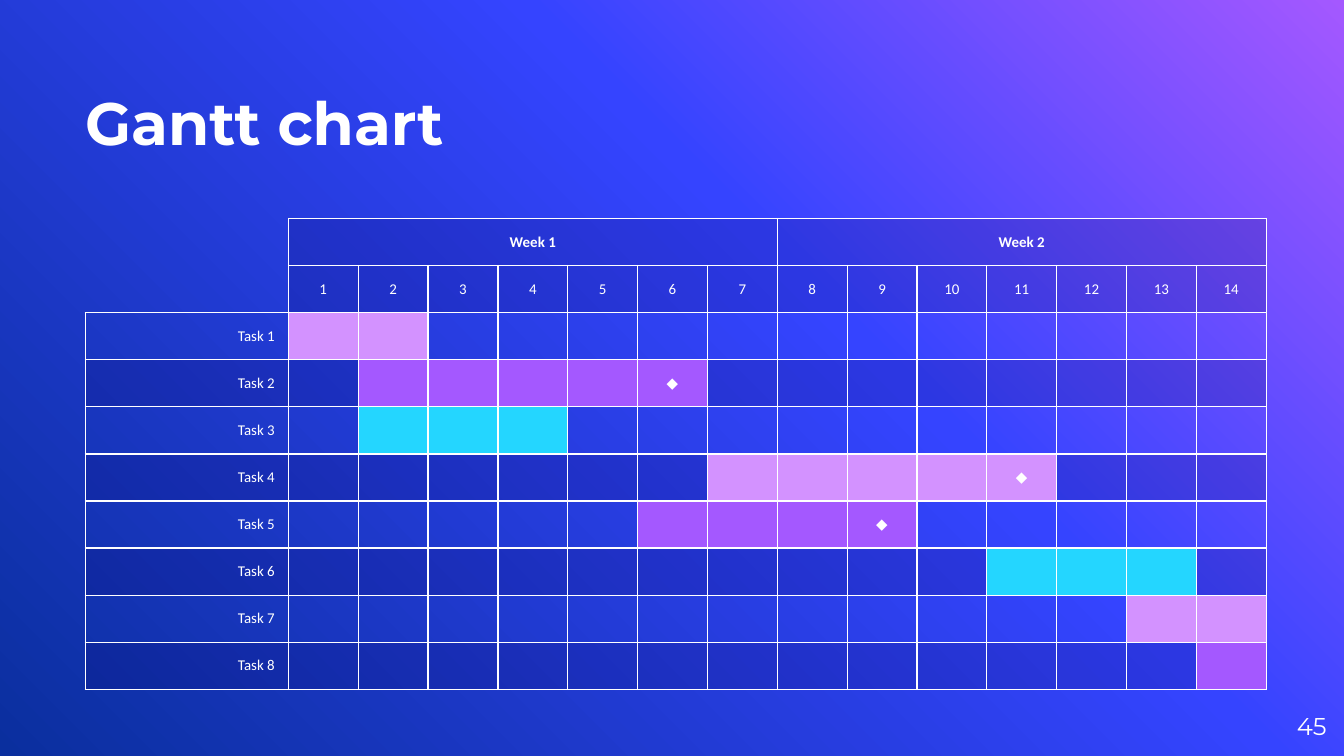
"""Build a slide with a two-week Gantt chart."""
from copy import deepcopy

from pptx import Presentation
from pptx.dml.color import RGBColor
from pptx.enum.text import MSO_ANCHOR, MSO_AUTO_SIZE, PP_ALIGN
from pptx.oxml.ns import qn
from pptx.util import Cm, Pt
from lxml.etree import SubElement

WHITE, NAVY = "FFFFFF", "050060"
LILAC, PURPLE, CYAN = "D392FF", "A458FF", "24D6FF"
DAYS, WEEK = 14, 7
TASKS = [
    ("Task 1", 1, 2, LILAC, False),
    ("Task 2", 2, 6, PURPLE, True),
    ("Task 3", 2, 4, CYAN, False),
    ("Task 4", 7, 11, LILAC, True),
    ("Task 5", 6, 9, PURPLE, True),
    ("Task 6", 11, 13, CYAN, False),
    ("Task 7", 13, 14, LILAC, False),
    ("Task 8", 14, 14, PURPLE, False),
]


def tint(code):
    return RGBColor.from_string(code)


def write(frame, text, size=8, font="Calibri", bold=False, align=PP_ALIGN.CENTER):
    para = frame.paragraphs[0]
    para.alignment = align
    if text:
        run = para.add_run()
        run.text = text
        run.font.size, run.font.name, run.font.bold = Pt(size), font, bold
        run.font.color.rgb = tint(WHITE)
    else:
        para._p.get_or_add_endParaRPr().set("sz", str(size * 100))


class Deck:
    font = "Montserrat"

    def __init__(self, show):
        self.slide = show.slides.add_slide(show.slide_layouts[5])

    def ground(self, *stops):
        fill = self.slide.background.fill
        fill.gradient()
        fill.gradient_angle = 225
        group = self.slide._element.find(".//" + qn("a:gsLst"))
        while len(group) < len(stops):
            group.append(deepcopy(group[0]))
        for stop, (place, code) in zip(fill.gradient_stops, stops):
            stop.position = place
            stop.color.rgb = tint(code)

    def place(self, shape, box, text, anchor, **style):
        shape.left, shape.top, shape.width, shape.height = map(Cm, box)
        frame = shape.text_frame
        frame.word_wrap = True
        frame.auto_size = MSO_AUTO_SIZE.NONE
        frame.vertical_anchor = anchor
        frame.margin_left = frame.margin_right = 0
        frame.margin_top = frame.margin_bottom = 0
        write(frame, text, font=self.font, **style)

    def title(self, box, text):
        self.place(self.slide.shapes.title, box, text, MSO_ANCHOR.BOTTOM,
                   size=32, bold=True, align=PP_ALIGN.LEFT)

    def number(self, box, text):
        shape = self.slide.shapes.add_textbox(*map(Cm, box))
        self.place(shape, box, text, MSO_ANCHOR.MIDDLE,
                   size=13, align=PP_ALIGN.RIGHT)

    def grid(self, left, top, first, wide, high, rows):
        frame = self.slide.shapes.add_table(
            rows, DAYS + 1, Cm(left), Cm(top),
            Cm(first + DAYS * wide), Cm(rows * high))
        table = frame.table
        table.first_row = table.horz_banding = False
        for row in table.rows:
            row.height = Cm(high)
        for spot, col in enumerate(table.columns):
            col.width = Cm(wide if spot else first)
        return table

    def cell(self, cell, text="", code=None, alpha=None, edges="LRTB", **style):
        props = cell._tc.get_or_add_tcPr()
        for side in "LRTB":
            line = SubElement(props, qn("a:ln" + side), w=str(Pt(0.75)))
            if side in edges:
                paint = SubElement(line, qn("a:solidFill"))
                SubElement(paint, qn("a:srgbClr"), val=WHITE)
            else:
                SubElement(line, qn("a:noFill"))
        if code:
            cell.fill.solid()
            cell.fill.fore_color.rgb = tint(code)
            if alpha:
                shade = props.find(qn("a:solidFill"))[0]
                SubElement(shade, qn("a:alpha"), val=str(alpha * 1000))
        else:
            cell.fill.background()
        cell.vertical_anchor = MSO_ANCHOR.MIDDLE
        write(cell.text_frame, text, **style)

    def gantt(self, tasks, **size):
        table = self.grid(rows=len(tasks) + 2, **size)
        dark = {"code": NAVY, "alpha": 18}
        self.cell(table.cell(0, 0), edges="R")
        self.cell(table.cell(1, 0), edges="RB")
        for day in range(1, DAYS + 1):
            week, rest = divmod(day - 1, WEEK)
            label = "" if rest else f"Week {week + 1}"
            self.cell(table.cell(0, day), label, bold=True, **dark)
            self.cell(table.cell(1, day), str(day), **dark)
        for start in range(1, DAYS, WEEK):
            table.cell(0, start).merge(table.cell(0, start + WEEK - 1))
        for row, (name, start, end, code, mark) in enumerate(tasks, 2):
            band = dark if row % 2 else {}
            self.cell(table.cell(row, 0), name, align=PP_ALIGN.RIGHT, **band)
            for day in range(1, DAYS + 1):
                look = {"code": code} if start <= day <= end else band
                sign = "◆" if mark and day == end else ""
                self.cell(table.cell(row, day), sign, **look)


def main():
    show = Presentation()
    show.slide_width, show.slide_height = Cm(25.4), Cm(14.29)
    deck = Deck(show)
    deck.ground((0, PURPLE), (0.39, "3544FF"), (1, "0A2F9E"))
    deck.title((1.61, 0.58, 16.71, 2.39), "Gantt chart")
    deck.number((23.55, 13.18, 1.52, 1.09), "45")
    deck.gantt(TASKS, left=1.61, top=4.13, first=3.84, wide=1.32, high=0.89)
    show.save("out.pptx")


if __name__ == "__main__":
    main()
